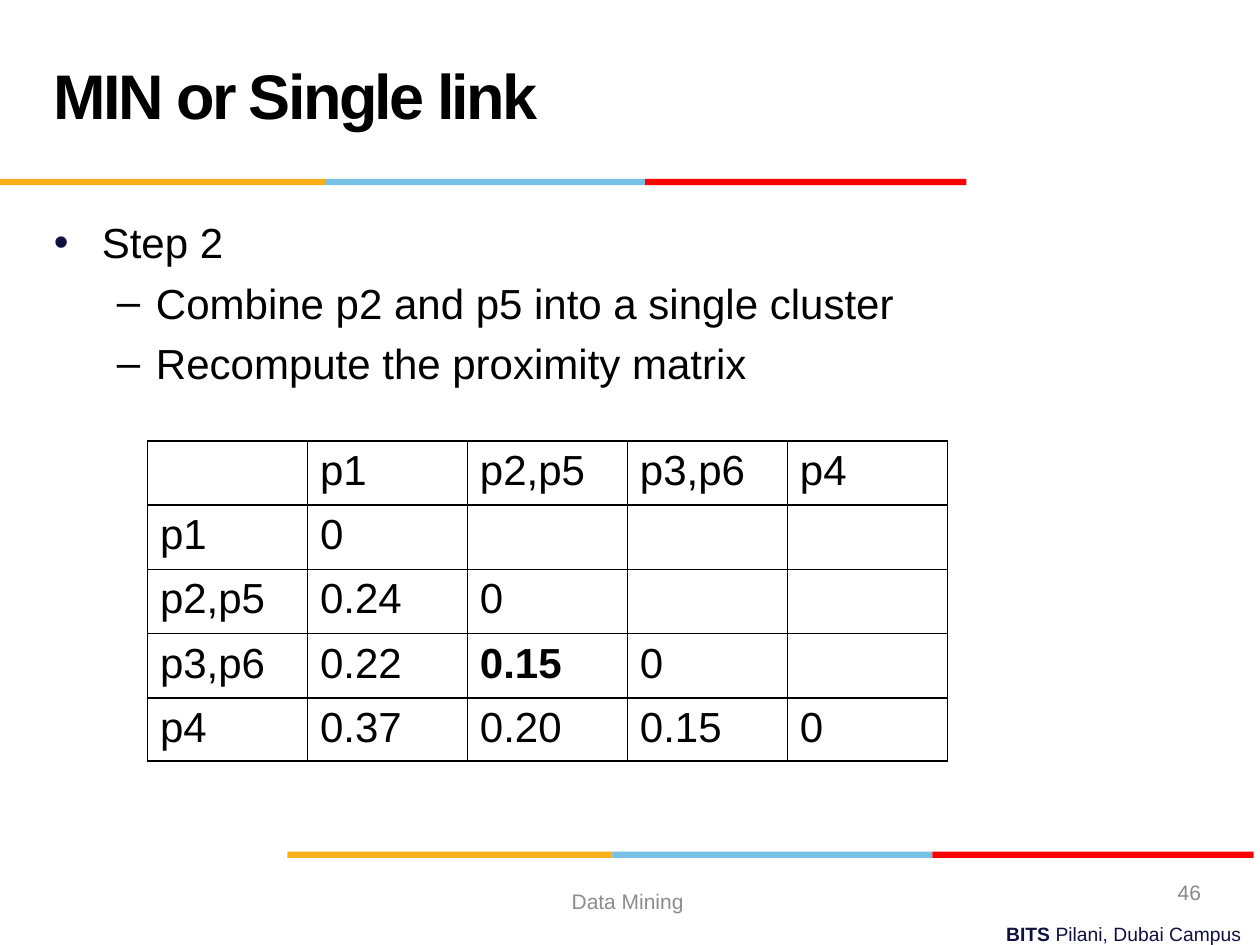
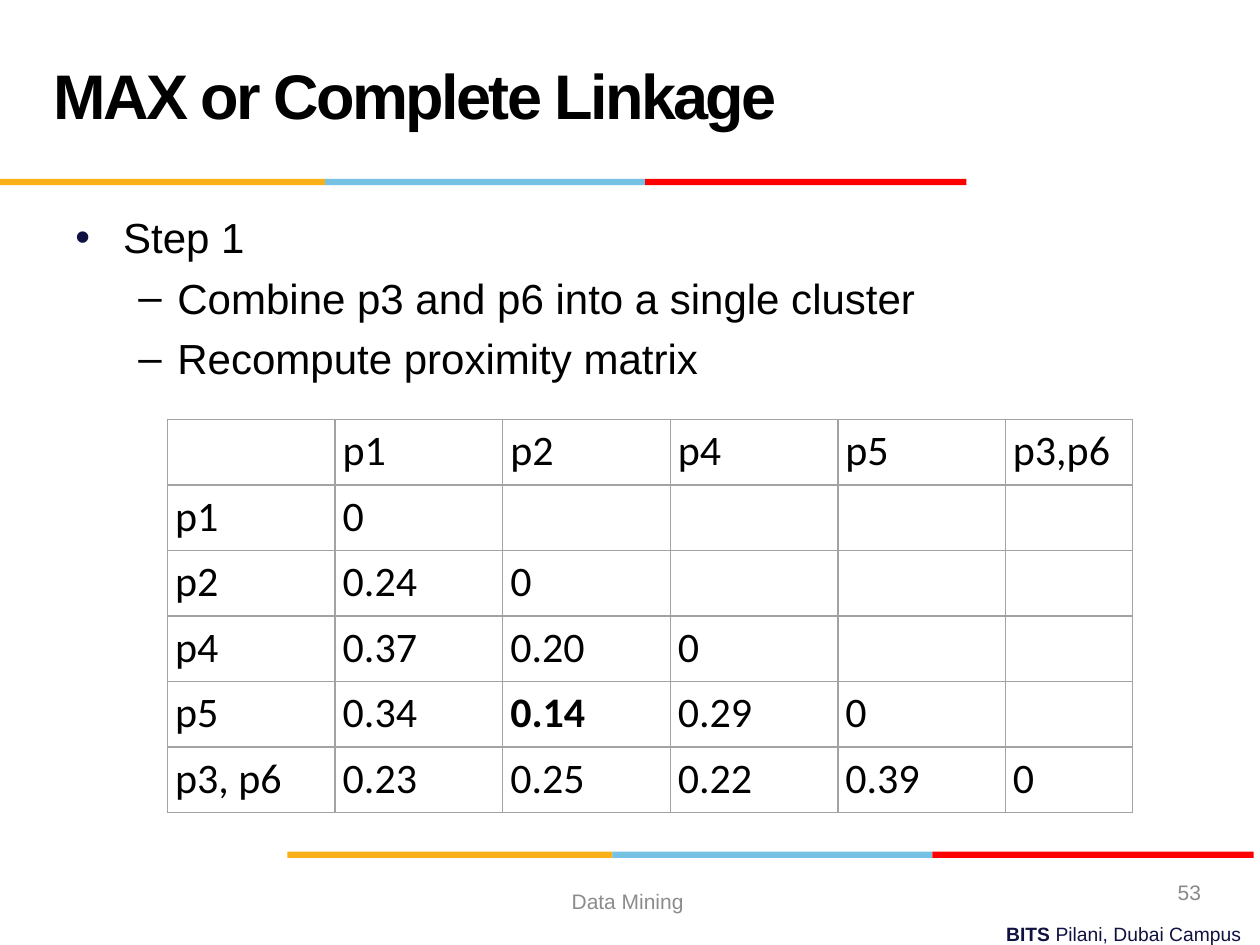
from lxml.etree import SubElement
from pptx import Presentation
from pptx.dml.color import RGBColor
from pptx.enum.shapes import MSO_SHAPE
from pptx.enum.text import MSO_ANCHOR, PP_ALIGN
from pptx.oxml.ns import qn
from pptx.util import Inches, Pt

COLORS = {
    "amber": "FCB017", "sky": "76C2E5", "red": "FF0000",
    "navy": "101141", "black": "000000", "grid": "A3A3A3",
    "footer": "8C8C8C", "number": "898989",
}


class Deck:
    def __init__(self):
        self.prs = Presentation()
        self.prs.slide_width, self.prs.slide_height = Inches(10), Inches(7.5)
        self.slide = None

    def color(self, name):
        return RGBColor.from_string(COLORS[name])

    def style(self, run, size, color="black", bold=False, font="Arial"):
        run.font.name, run.font.size, run.font.bold = font, Pt(size), bold
        run.font.color.rgb = self.color(color)

    def text_frame(self, left, top, width, height, anchor=MSO_ANCHOR.MIDDLE):
        box = self.slide.shapes.add_textbox(
            Inches(left), Inches(top), Inches(width), Inches(height))
        frame = box.text_frame
        frame.word_wrap, frame.vertical_anchor = True, anchor
        return frame

    def line(self, place, text, size, color, align):
        paragraph = self.text_frame(*place).paragraphs[0]
        paragraph.text, paragraph.alignment = text, align
        self.style(paragraph.runs[0], size, color)

    def band(self, left, top):
        for name, width in (("amber", 2.58), ("sky", 2.54), ("red", 2.55)):
            stripe = self.slide.shapes.add_shape(
                MSO_SHAPE.RECTANGLE, Inches(left), Inches(top), Inches(width), Inches(0.05))
            stripe.shadow.inherit = False
            stripe.fill.solid()
            stripe.fill.fore_color.rgb = self.color(name)
            stripe.line.fill.background()
            left += width

    def campus(self):
        frame = self.text_frame(3.53, 7.27, 6.42, 0.29, MSO_ANCHOR.TOP)
        paragraph = frame.paragraphs[0]
        paragraph.alignment = PP_ALIGN.RIGHT
        for text, bold in (("BITS ", True), ("Pilani, Dubai Campus", False)):
            run = paragraph.add_run()
            run.text = text
            self.style(run, 11, "navy", bold)

    def title(self, text):
        paragraph = self.text_frame(0.33, 0.17, 6.92, 1.25).paragraphs[0]
        paragraph.text, paragraph.line_spacing = text, Pt(36)
        run = paragraph.runs[0]
        self.style(run, 36, bold=True)
        run._r.get_or_add_rPr().set("spc", "-150")

    def start(self, title, number):
        self.slide = self.prs.slides.add_slide(self.prs.slide_layouts[6])
        self.campus()
        self.band(2.28, 6.76)
        self.band(0, 1.42)
        self.title(title)
        self.line((3.42, 6.95, 3.17, 0.4), "Data Mining ", 12, "footer", PP_ALIGN.CENTER)
        self.line((7.3, 6.88, 2.33, 0.4), str(number), 12, "number", PP_ALIGN.RIGHT)

    def bullet(self, paragraph, char, margin, hanging, color):
        props = paragraph._p.get_or_add_pPr()
        props.set("marL", str(Inches(margin)))
        props.set("indent", str(-Inches(hanging)))
        fill = SubElement(props, qn("a:buClr"))
        SubElement(fill, qn("a:srgbClr"), val=COLORS[color])
        SubElement(props, qn("a:buFont"), typeface="Arial")
        SubElement(props, qn("a:buChar"), char=char)

    def steps(self, left, top, heading, actions):
        frame = self.text_frame(left, top, 9, 4.9, MSO_ANCHOR.TOP)
        frame.text = "\n".join([heading, *actions])
        for index, paragraph in enumerate(frame.paragraphs):
            if index == 0:
                self.bullet(paragraph, "•", 0.38, 0.38, "navy")
            else:
                paragraph.level = 1
                self.bullet(paragraph, "–", 0.81, 0.31, "black")
                paragraph.space_before = Pt(5.8)
            self.style(paragraph.runs[0], 24)

    def borders(self, cell, color):
        props = cell._tc.get_or_add_tcPr()
        for side in ("a:lnL", "a:lnR", "a:lnT", "a:lnB"):
            edge = SubElement(props, qn(side), w=str(Pt(1)))
            SubElement(SubElement(edge, qn("a:solidFill")), qn("a:srgbClr"), val=COLORS[color])

    def matrix(self, left, top, widths, heights, header, rows, nearest,
               font="Arial", grid="black", margins=(0.1, 0.05)):
        """Lower-triangular proximity matrix; nearest is the (row, column) in bold."""
        table = self.slide.shapes.add_table(
            len(heights), len(widths), Inches(left), Inches(top),
            Inches(sum(widths)), Inches(sum(heights))).table
        table.first_row = table.horz_banding = False
        for column, width in zip(table.columns, widths):
            column.width = Inches(width)
        for row, height in zip(table.rows, heights):
            row.height = Inches(height)
        for r, values in enumerate([["", *header], *rows]):
            for c in range(len(widths)):
                cell = table.cell(r, c)
                cell.margin_left = cell.margin_right = Inches(margins[0])
                cell.margin_top = cell.margin_bottom = Inches(margins[1])
                self.borders(cell, grid)
                cell.fill.background()
                if c < len(values) and values[c]:
                    cell.text_frame.text = values[c]
                    run = cell.text_frame.paragraphs[0].runs[0]
                    self.style(run, 24, bold=(r, c) == nearest, font=font)


def main():
    deck = Deck()

    # Single link, step 2
    deck.start("MIN or Single link", 46)
    deck.steps(0.33, 1.67, "Step 2", ["Combine p2 and p5 into a single cluster",
                                      "Recompute the proximity matrix"])
    deck.matrix(1.17, 3.5, [1.27] * 5, [0.51] * 4 + [0.47],
                ["p1", "p2,p5", "p3,p6", "p4"],
                [["p1", "0"],
                 ["p2,p5", "0.24", "0"],
                 ["p3,p6", "0.22", "0.15", "0"],
                 ["p4", "0.37", "0.20", "0.15", "0"]],
                nearest=(3, 2))

    # Complete linkage, step 1
    deck.start("MAX or Complete Linkage", 53)
    deck.steps(0.5, 1.63, "Step 1", ["Combine p3 and p6 into a single cluster",
                                     "Recompute proximity matrix"])
    deck.matrix(1.33, 3.33, [1.33] * 5 + [1.01], [0.52] * 6,
                ["p1", "p2", "p4", "p5", "p3,p6"],
                [["p1", "0"],
                 ["p2", "0.24", "0"],
                 ["p4", "0.37", "0.20", "0"],
                 ["p5", "0.34", "0.14", "0.29", "0"],
                 ["p3, p6", "0.23", "0.25", "0.22", "0.39", "0"]],
                nearest=(4, 2), font="Calibri", grid="grid", margins=(0.06, 0.05))

    deck.prs.save("out.pptx")


if __name__ == "__main__":
    main()
